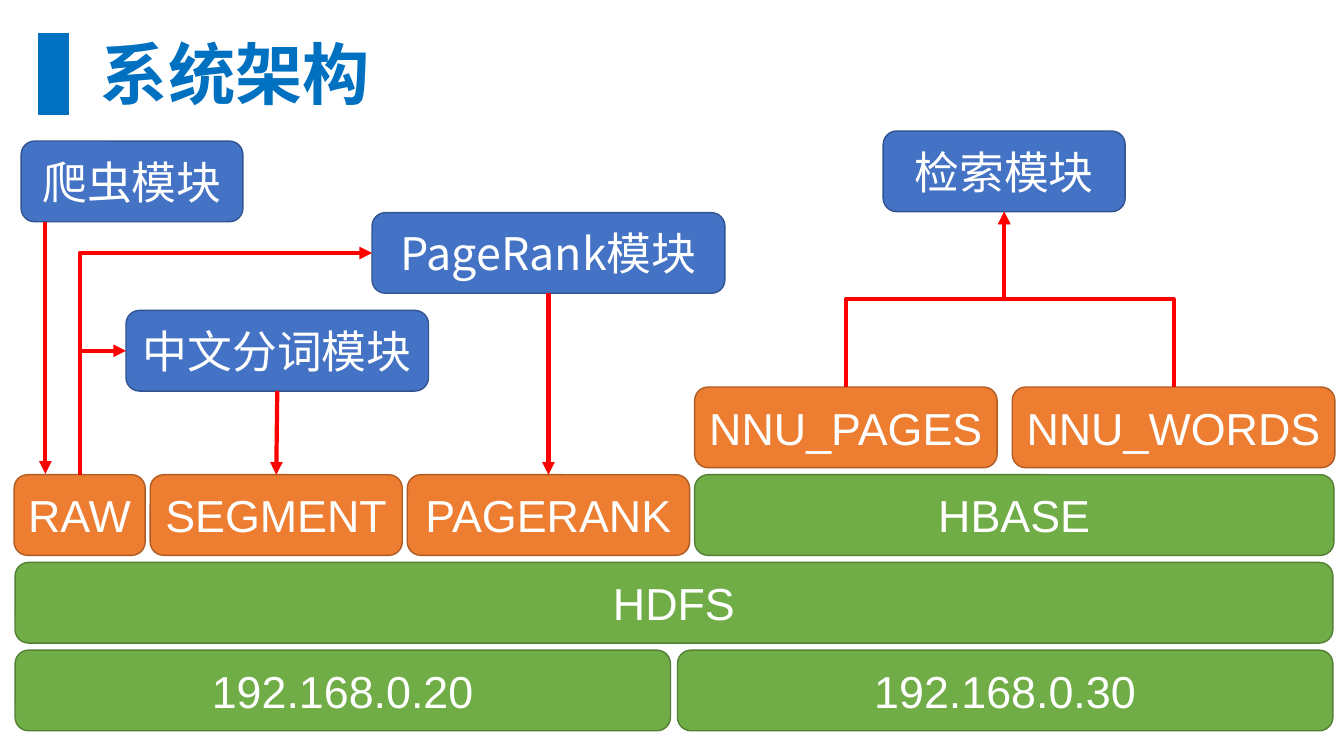
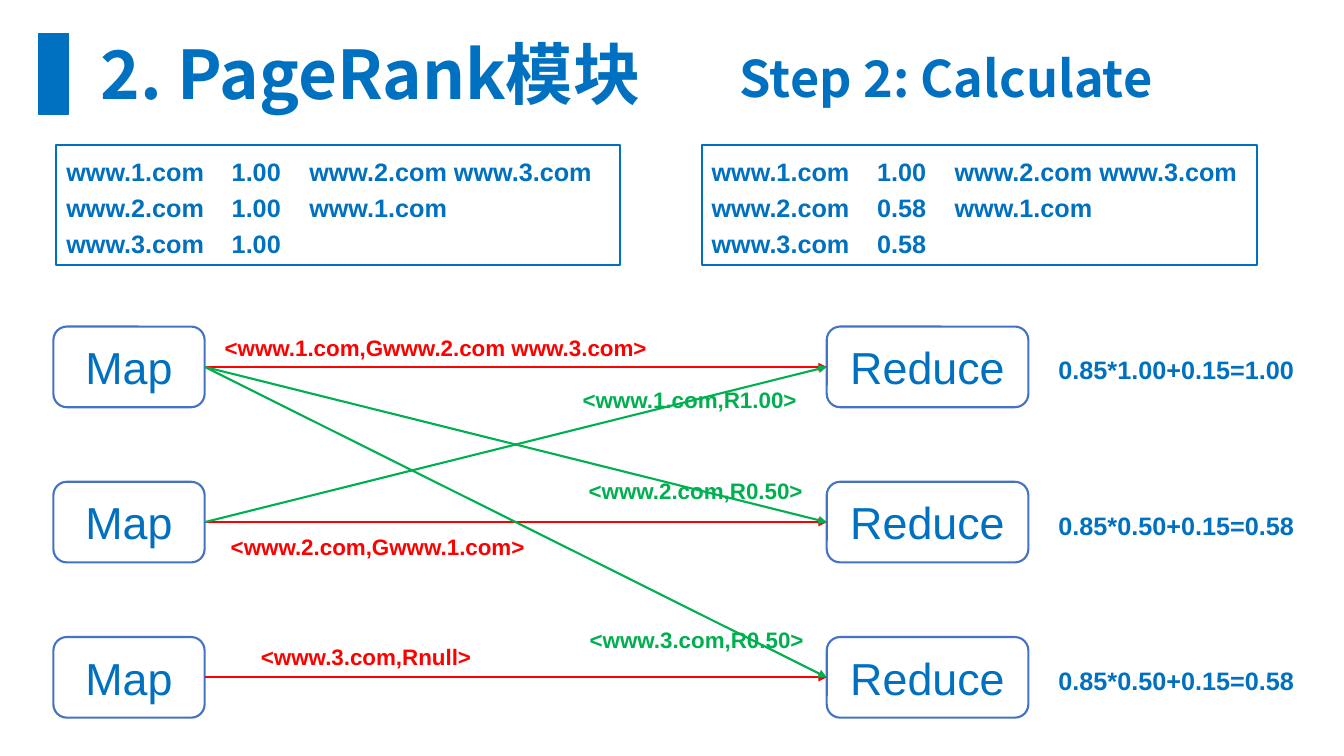
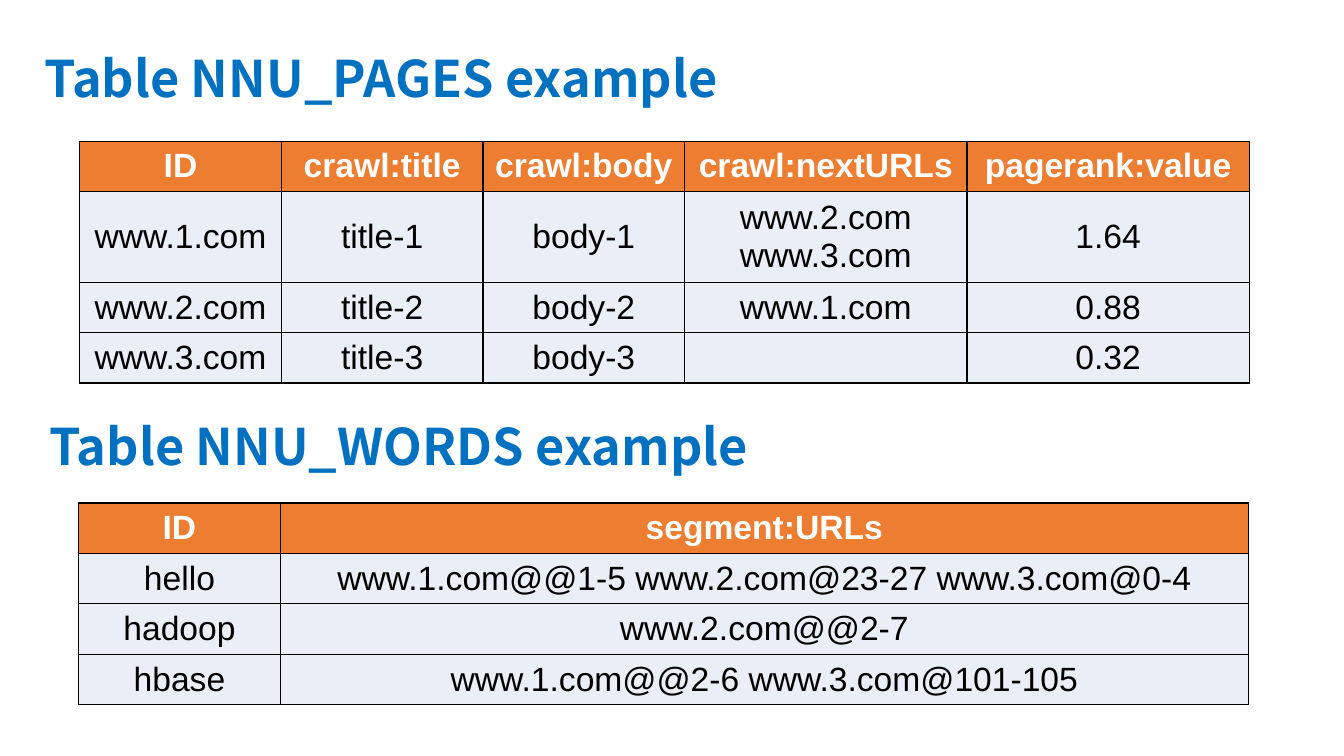
from lxml import etree
from pptx import Presentation
from pptx import util as u
from pptx.dml.color import RGBColor
from pptx.enum import shapes, text
from pptx.oxml.ns import qn

# Shared look
BLUE = RGBColor(0x00, 0x70, 0xC0)
WHITE = RGBColor(0xFF, 0xFF, 0xFF)
BLACK = RGBColor(0x00, 0x00, 0x00)
RED = RGBColor(0xFF, 0x00, 0x00)
GREEN = RGBColor(0x00, 0xB0, 0x50)
ORANGE = RGBColor(0xED, 0x7D, 0x31)
ICE = RGBColor(0xEA, 0xEF, 0xF7)
ROYAL = RGBColor(0x44, 0x72, 0xC4)
LATIN, CJK = "Arial", "Noto Sans CJK SC"

# Box kinds: fill, outline, outline width, text format
BOX_TEXT = {"name": LATIN, "size": u.Pt(32), "color": WHITE}
MODULE = (ROYAL, RGBColor(0x32, 0x54, 0x91), 1, {**BOX_TEXT, "name": CJK})
STORE = (ORANGE, RGBColor(0xAF, 0x5C, 0x24), 1, BOX_TEXT)
PLATFORM = (RGBColor(0x70, 0xAD, 0x47), RGBColor(0x53, 0x80, 0x35), 1, BOX_TEXT)
TASK = (WHITE, ROYAL, 1.5, {**BOX_TEXT, "color": BLUE})

TITLE = {"name": CJK, "size": u.Pt(48), "color": BLUE, "bold": True}
HEADING = {**TITLE, "size": u.Pt(36)}
DATA = {"name": LATIN, "size": u.Pt(18), "color": BLUE, "bold": True}
LABEL = {**DATA, "size": u.Pt(16)}
CELL = {"name": LATIN, "size": u.Pt(24), "color": BLACK, "bold": False}
HEAD_CELL = {**CELL, "color": WHITE, "bold": True}

BOX_H = 0.8
TIER_BOTTOM, TIER_PITCH = 6.45, 0.87
TASK_TOP, TASK_PITCH = 3.24, 1.54
TOP, LEFT, BOTTOM, RIGHT = range(4)


def inches(*lengths):
    return [u.Inches(length) for length in lengths]


def write(frame, lines, look, align=text.PP_ALIGN.LEFT, spacing=None, tabs=()):
    """Fill a text frame with one paragraph per line."""
    for i, line in enumerate(lines):
        para = frame.add_paragraph() if i else frame.paragraphs[0]
        if tabs:
            stops = etree.SubElement(para._p.get_or_add_pPr(), qn("a:tabLst"))
            for stop in tabs:
                etree.SubElement(stops, qn("a:tab"), pos=str(u.Inches(stop)), algn="l")
        para.alignment, para.line_spacing = align, spacing
        span = para.add_run()
        span.text = line
        for key, value in look.items():
            if key == "color":
                span.font.color.rgb = value
            else:
                setattr(span.font, key, value)
        etree.SubElement(span._r.get_or_add_rPr(), qn("a:ea"), typeface=look["name"])


def add_title(page, words, at, look=TITLE, spacing=None):
    title = page.shapes.title
    title.left, title.top, title.width, title.height = inches(*at)
    frame = title.text_frame
    frame.auto_size = text.MSO_AUTO_SIZE.NONE
    frame.vertical_anchor = text.MSO_ANCHOR.TOP
    write(frame, [words], look, spacing=spacing)


def add_band_title(page, words):
    """Title with the blue bar at its left."""
    bar = page.shapes.add_shape(shapes.MSO_SHAPE.RECTANGLE, *inches(0.38, 0.33, 0.3, 0.8))
    paint(bar, BLUE, BLUE, 1)
    add_title(page, words, (0.9, 0.27, 6, 0.91))


def paint(shape, fill, outline, width):
    shape.shadow.inherit = False
    shape.fill.solid()
    shape.fill.fore_color.rgb = fill
    shape.line.color.rgb = outline
    shape.line.width = u.Pt(width)


def add_text(page, lines, at, look, tabs=(), outline=None):
    box = page.shapes.add_textbox(*inches(*at))
    box.text_frame.word_wrap = outline is not None
    if outline is not None:
        box.line.color.rgb = outline
        box.line.width = u.Pt(1.5)
    write(box.text_frame, lines, look, spacing=1.2, tabs=tabs)


def add_box(page, words, left, top, width, kind):
    fill, outline, weight, look = kind
    box = page.shapes.add_shape(
        shapes.MSO_SHAPE.ROUNDED_RECTANGLE, *inches(left, top, width, BOX_H))
    paint(box, fill, outline, weight)
    frame = box.text_frame
    frame.margin_left = frame.margin_right = 0
    frame.vertical_anchor = text.MSO_ANCHOR.MIDDLE
    write(frame, [words], look, text.PP_ALIGN.CENTER)
    return box


def add_tier(page, level, left, gap, *items):
    """Row of boxes with equal gaps; level 0 is the lowest row."""
    boxes = []
    for words, width, kind in items:
        boxes.append(add_box(page, words, left, TIER_BOTTOM - level * TIER_PITCH, width, kind))
        left += width + gap
    return boxes


def finish_arrow(arrow, color, width):
    arrow.line.color.rgb = color
    arrow.line.width = u.Pt(width)
    etree.SubElement(arrow.line._get_or_add_ln(), qn("a:tailEnd"), type="triangle")
    etree.SubElement(arrow._element.spPr, qn("a:effectLst"))


def join(page, kind, source, source_side, target, target_side):
    arrow = page.shapes.add_connector(kind, 0, 0, 0, 0)
    arrow.begin_connect(source, source_side)
    arrow.end_connect(target, target_side)
    return arrow


def add_arrow(page, source, source_side, target, target_side, color=RED, width=3):
    arrow = join(page, shapes.MSO_CONNECTOR.STRAIGHT, source, source_side, target, target_side)
    finish_arrow(arrow, color, width)


def add_rising_elbow(page, source, target, target_side):
    """Elbow arrow that leaves the top of source going up."""
    arrow = join(page, shapes.MSO_CONNECTOR.ELBOW, source, TOP, target, target_side)
    across, rise = arrow.end_x - arrow.begin_x, arrow.begin_y - arrow.end_y
    mid_x, mid_y = (arrow.begin_x + arrow.end_x) // 2, (arrow.begin_y + arrow.end_y) // 2
    frame = arrow._element.spPr.find(qn("a:xfrm"))
    for flip in ("flipH", "flipV"):
        frame.attrib.pop(flip, None)
    frame.set("rot", str(270 * 60000))
    if across < 0:
        frame.set("flipV", "1")
    arrow.width, arrow.height = rise, abs(across)
    arrow.left, arrow.top = mid_x - rise // 2, mid_y - abs(across) // 2
    if target_side == LEFT:
        arrow._element.spPr.find(qn("a:prstGeom")).set("prst", "bentConnector2")
    finish_arrow(arrow, RED, 3)


def add_borders(cell):
    for side in ("L", "R", "T", "B"):
        line = etree.SubElement(cell._tc.get_or_add_tcPr(), qn("a:ln" + side), w=str(u.Pt(1)))
        fill = etree.SubElement(line, qn("a:solidFill"))
        etree.SubElement(fill, qn("a:srgbClr"), val=str(BLACK))


def add_grid(page, left, top, widths, heights, rows):
    grid = page.shapes.add_table(
        len(rows), len(widths), *inches(left, top, sum(widths), sum(heights))).table
    for column, width in zip(grid.columns, widths):
        column.width = u.Inches(width)
    for r, (row, height) in enumerate(zip(rows, heights)):
        grid.rows[r].height = u.Inches(height)
        for c, words in enumerate(row):
            cell = grid.cell(r, c)
            add_borders(cell)
            cell.fill.solid()
            cell.fill.fore_color.rgb = ICE if r else ORANGE
            cell.vertical_anchor = text.MSO_ANCHOR.MIDDLE
            if words:
                write(cell.text_frame, words.split("\n"), CELL if r else HEAD_CELL,
                      text.PP_ALIGN.CENTER)


def build_architecture(page):
    add_band_title(page, "系统架构")
    # Platform and storage tiers
    add_tier(page, 0, 0.15, 0.07, ("192.168.0.20", 6.5, PLATFORM), ("192.168.0.30", 6.5, PLATFORM))
    add_tier(page, 1, 0.15, 0, ("HDFS", 13.07, PLATFORM))
    raw, segment, pagerank, _ = add_tier(
        page, 2, 0.14, 0.05, ("RAW", 1.3, STORE), ("SEGMENT", 2.5, STORE),
        ("PAGERANK", 2.8, STORE), ("HBASE", 6.34, PLATFORM))
    tables = add_tier(page, 3, 6.89, 0.15, ("NNU_PAGES", 3, STORE), ("NNU_WORDS", 3.2, STORE))
    # Modules
    add_box(page, "爬虫模块", 0.21, 1.4, 2.2, MODULE)
    splitter = add_box(page, "中文分词模块", 1.25, 3.08, 3, MODULE)
    ranker = add_box(page, "PageRank模块", 3.69, 2.11, 3.5, MODULE)
    search = add_box(page, "检索模块", 8.76, 1.3, 2.4, MODULE)
    # Data flow
    crawl = page.shapes.add_connector(
        shapes.MSO_CONNECTOR.STRAIGHT, *inches(0.45, 2.2, 0.45, 4.7))
    finish_arrow(crawl, RED, 3)
    add_arrow(page, splitter, BOTTOM, segment, TOP)
    add_arrow(page, ranker, BOTTOM, pagerank, TOP)
    for module in (ranker, splitter):
        add_rising_elbow(page, raw, module, LEFT)
    for table in tables:
        add_rising_elbow(page, table, search, BOTTOM)


def build_calculation(page):
    add_band_title(page, "2. PageRank模块")
    add_text(page, ["Step 2: Calculate"], (7.24, 0.3, 5.15, 0.83), HEADING)
    # Ranks before and after
    for left, width, rank in ((0.56, 5.59, "1.00"), (6.96, 5.51, "0.58")):
        lines = ["www.1.com\t1.00\twww.2.com www.3.com",
                 f"www.2.com\t{rank}\twww.1.com", f"www.3.com\t{rank}"]
        add_text(page, lines, (left, 1.44, width, 1.19), DATA, (1.64, 2.41), BLUE)
    # Map and reduce tasks
    maps, reduces = [], []
    for i, rank in enumerate(("1.00", "0.50", "0.50")):
        top = TASK_TOP + i * TASK_PITCH
        maps.append(add_box(page, "Map", 0.53, top, 1.5, TASK))
        reduces.append(add_box(page, "Reduce", 8.2, top, 2, TASK))
        result = "1.00" if i == 0 else "0.58"
        add_text(page, [f"0.85*{rank}+0.15={result}"], (10.4, top + 0.17, 2.67, 0.46), DATA)
    # Messages
    for source, target, color in ((0, 0, RED), (1, 1, RED), (2, 2, RED),
                                  (0, 1, GREEN), (0, 2, GREEN), (1, 0, GREEN)):
        add_arrow(page, maps[source], RIGHT, reduces[target], LEFT, color, 1.5)
    for words, left, top, width, color in (
            ("<www.1.com,Gwww.2.com www.3.com>", 2.13, 3.21, 4.86, RED),
            ("<www.2.com,Gwww.1.com>", 2.19, 5.19, 3.41, RED),
            ("<www.3.com,Rnull>", 2.49, 6.28, 2.47, RED),
            ("<www.1.com,R1.00>", 5.68, 3.73, 2.49, GREEN),
            ("<www.2.com,R0.50>", 5.74, 4.63, 2.46, GREEN),
            ("<www.3.com,R0.50>", 5.75, 6.11, 2.47, GREEN)):
        add_text(page, [words], (left, top, width, 0.42), {**LABEL, "color": color})


def build_examples(page):
    add_title(page, "Table NNU_PAGES example", (0.34, 0.3, 7.49, 0.83), HEADING, 1.2)
    add_grid(page, 0.79, 1.4, (2, 2, 2, 2.8, 2.8), (0.5, 0.9, 0.5, 0.5), (
        ("ID", "crawl:title", "crawl:body", "crawl:nextURLs", "pagerank:value"),
        ("www.1.com", "title-1", "body-1", "www.2.com\nwww.3.com", "1.64"),
        ("www.2.com", "title-2", "body-2", "www.1.com", "0.88"),
        ("www.3.com", "title-3", "body-3", "", "0.32")))
    add_text(page, ["Table NNU_WORDS example"], (0.39, 3.95, 7.49, 0.83), HEADING)
    add_grid(page, 0.78, 4.99, (2, 9.6), (0.5,) * 4, (
        ("ID", "segment:URLs"),
        ("hello", "www.1.com@@1-5 www.2.com@23-27 www.3.com@0-4"),
        ("hadoop", "www.2.com@@2-7"),
        ("hbase", "www.1.com@@2-6 www.3.com@101-105")))


def main():
    deck = Presentation()
    deck.slide_width, deck.slide_height = inches(13.33, 7.5)
    title_only = deck.slide_layouts[5]
    for build in (build_architecture, build_calculation, build_examples):
        build(deck.slides.add_slide(title_only))
    deck.save("out.pptx")


if __name__ == "__main__":
    main()
